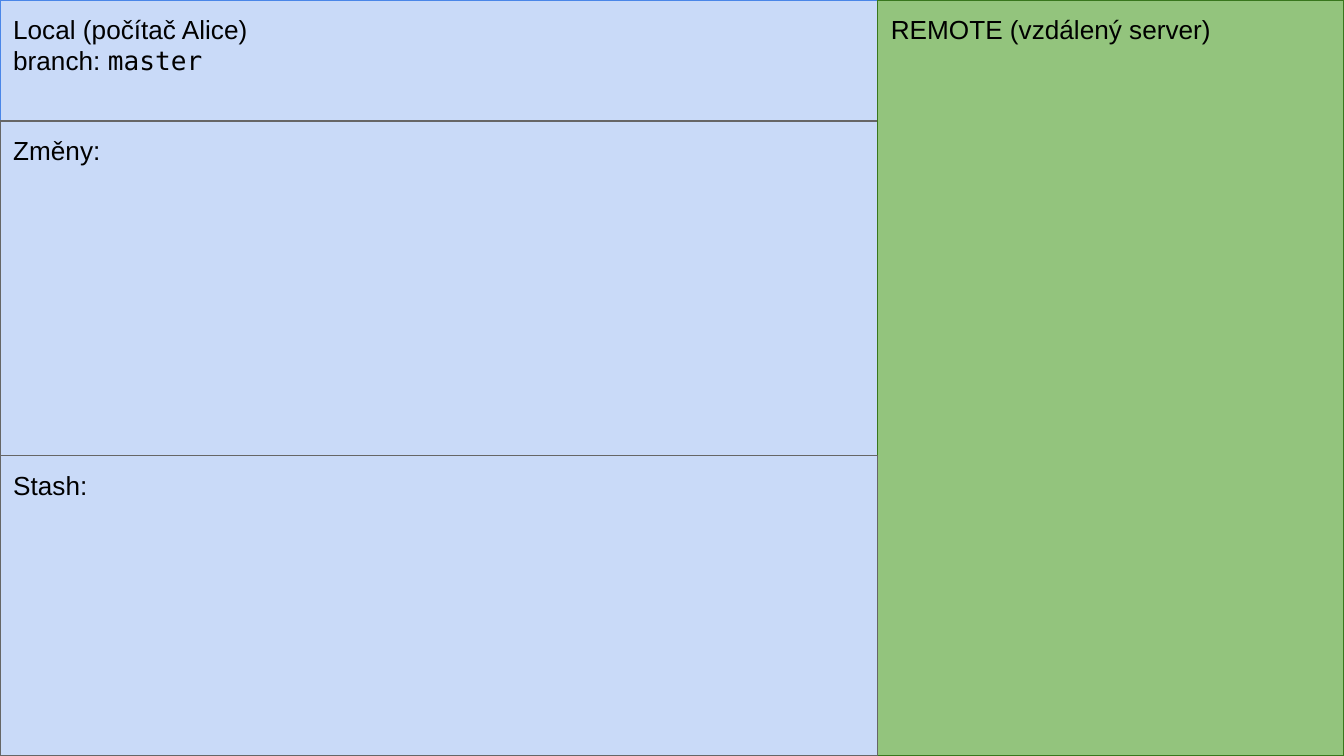
from pptx import Presentation
from pptx.dml.color import RGBColor
from pptx.enum.shapes import MSO_SHAPE
from pptx.enum.text import MSO_ANCHOR, PP_ALIGN
from pptx.util import Inches, Pt

RECT = MSO_SHAPE.RECTANGLE
TOP = MSO_ANCHOR.TOP
LEFT = PP_ALIGN.LEFT

COLORS = {
    "local": "C9DAF8",
    "local_line": "4A86E8",
    "remote": "93C47D",
    "remote_line": "38761D",
    "section_line": "666666",
    "text": "000000",
}
BODY, MONO = "Arial", "DejaVu Sans Mono"

# Grid edges in inches, on a 16:9 slide
WIDTH = 10
HEIGHT = WIDTH * 9 / 16
SPLIT = 6.53
CHANGES_TOP, STASH_TOP = 0.9, 3.39


def rgb(name):
    return RGBColor.from_string(COLORS[name])


def add_run(p, text, font=BODY):
    r = p.add_run()
    r.text = text
    r.font.name = font
    r.font.size = Pt(14)
    r.font.color.rgb = rgb("text")


def add_panel(slide, left, top, right, bottom, title, line, fill=None):
    """Draw a titled rectangle between grid edges and return its text frame."""
    s = slide.shapes.add_shape(RECT, Inches(left), Inches(top),
                               Inches(right - left), Inches(bottom - top))
    s.shadow.inherit = False
    if fill:
        s.fill.solid()
        s.fill.fore_color.rgb = rgb(fill)
    else:
        s.fill.background()
    s.line.color.rgb = rgb(line)
    s.line.width = Pt(0.75)

    tf = s.text_frame
    tf.word_wrap = True
    tf.vertical_anchor = TOP
    tf.margin_left = tf.margin_right = Inches(0.1)
    tf.margin_top = tf.margin_bottom = Inches(0.1)
    p = tf.paragraphs[0]
    p.alignment = LEFT
    add_run(p, title)
    return tf


def add_branch(tf, branch):
    p = tf.add_paragraph()
    p.alignment = LEFT
    add_run(p, "branch: ")
    add_run(p, branch, MONO)


def main():
    prs = Presentation()
    prs.slide_width, prs.slide_height = Inches(WIDTH), Inches(HEIGHT)
    slide = prs.slides.add_slide(prs.slide_layouts[6])

    # Local computer, with its changes
    local = add_panel(slide, 0, 0, SPLIT, HEIGHT, "Local (počítač Alice)",
                      "local_line", "local")
    add_branch(local, "master")
    add_panel(slide, 0, CHANGES_TOP, SPLIT, STASH_TOP, "Změny:", "section_line")

    # Remote server
    add_panel(slide, SPLIT, 0, WIDTH, HEIGHT, "REMOTE (vzdálený server)",
              "remote_line", "remote")

    # Local stash, its border over the remote panel's edge
    add_panel(slide, 0, STASH_TOP, SPLIT, HEIGHT, "Stash:", "section_line")

    prs.save("out.pptx")


if __name__ == "__main__":
    main()
